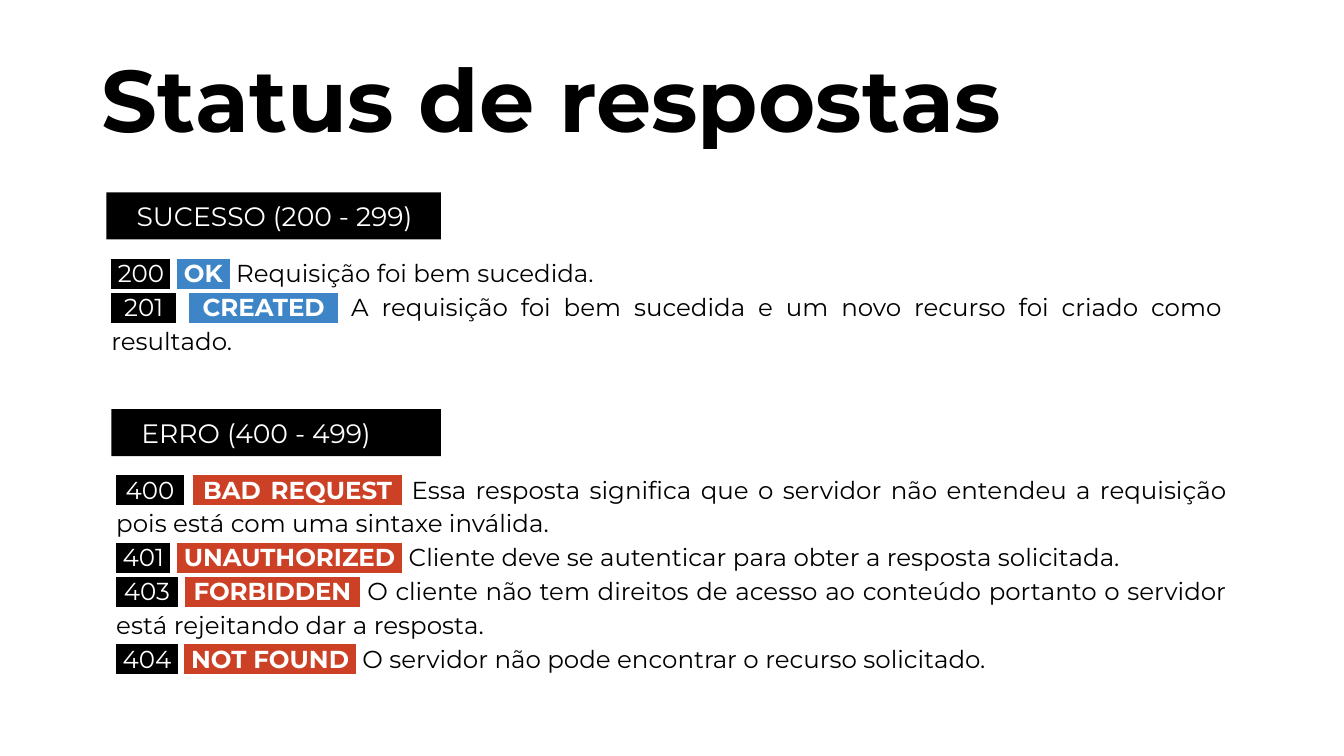
from lxml.etree import SubElement
from pptx import Presentation
from pptx.dml.color import RGBColor
from pptx.enum.shapes import MSO_SHAPE as Shape
from pptx.enum.text import MSO_ANCHOR as Anchor, PP_ALIGN as Align
from pptx.oxml.ns import qn
from pptx.util import Pt

FONT = "Montserrat"
BLACK, WHITE, BLUE, RED = "000000", "FFFFFF", "3D85C6", "CC4125"

SUCCESSES = [
    ("200", "OK", "Requisição foi bem sucedida."),
    ("201", "CREATED", "A requisição foi bem sucedida e um novo recurso foi criado como resultado."),
]
ERRORS = [
    ("400", "BAD REQUEST", "Essa resposta significa que o servidor não entendeu a requisição "
                           "pois está com uma sintaxe inválida."),
    ("401", "UNAUTHORIZED", "Cliente deve se autenticar para obter a resposta solicitada."),
    ("403", "FORBIDDEN", "O cliente não tem direitos de acesso ao conteúdo portanto o servidor "
                         "está rejeitando dar a resposta."),
    ("404", "NOT FOUND", "O servidor não pode encontrar o recurso solicitado."),
]


def rgb(color):
    """Turn a hex string into a colour."""
    return RGBColor.from_string(color)


def style(run, size, color, bold=False, highlight=None):
    """Format a run, with an optional highlight behind it."""
    font = run.font
    font.name, font.size, font.bold = FONT, Pt(size), bold
    font.color.rgb = rgb(color)
    if highlight:
        properties = run._r.get_or_add_rPr()
        marker = SubElement(properties, qn("a:highlight"))
        SubElement(marker, qn("a:srgbClr")).set("val", highlight)
        properties.find(qn("a:solidFill")).addnext(marker)


def add_title(slide, title):
    """Add the large bold heading."""
    heading = slide.shapes.add_textbox(Pt(138), Pt(60.5), Pt(1555), Pt(174))
    heading.text_frame.word_wrap = True
    heading.text_frame.text = title
    style(heading.text_frame.paragraphs[0].runs[0], 125, BLACK, bold=True)


def add_banner(slide, label, left, top, width):
    """Add the black bar that names a range of codes."""
    banner = slide.shapes.add_shape(Shape.RECTANGLE, Pt(left), Pt(top), Pt(width), Pt(67))
    banner.shadow.inherit = False
    banner.fill.solid()
    banner.fill.fore_color.rgb = rgb(BLACK)
    banner.line.fill.background()
    frame = banner.text_frame
    frame.vertical_anchor = Anchor.MIDDLE
    frame.text = label
    paragraph = frame.paragraphs[0]
    paragraph.alignment = Align.LEFT
    paragraph._p.get_or_add_pPr().set("marL", str(Pt(36)))
    style(paragraph.runs[0], 38, WHITE)


def add_statuses(slide, statuses, badge_color, left, top, height):
    """Add one justified paragraph per status code."""
    listing = slide.shapes.add_textbox(Pt(left), Pt(top), Pt(1601), Pt(height))
    frame = listing.text_frame
    frame.word_wrap = True
    frame.margin_top = frame.margin_bottom = Pt(7.2)
    for index, (code, name, meaning) in enumerate(statuses):
        paragraph = frame.add_paragraph() if index else frame.paragraphs[0]
        paragraph.alignment = Align.JUSTIFY
        paragraph.line_spacing = 1.15
        for wording, color, bold, highlight in (
            (f" {code} ", WHITE, False, BLACK),
            (" ", BLACK, False, None),
            (f" {name} ", WHITE, True, badge_color),
            (f" {meaning}", BLACK, False, None),
        ):
            run = paragraph.add_run()
            run.text = wording
            style(run, 35, color, bold, highlight)


def main():
    """Build and save the slide on HTTP response statuses."""
    deck = Presentation()
    deck.slide_width, deck.slide_height = Pt(1920), Pt(1080)
    slide = deck.slides.add_slide(deck.slide_layouts[6])
    add_title(slide, "Status de respostas")
    add_banner(slide, "SUCESSO (200 - 299)", 152, 275, 478)
    add_statuses(slide, SUCCESSES, BLUE, 152, 355.5, 217)
    add_banner(slide, "ERRO (400 - 499)", 159, 584.5, 471)
    add_statuses(slide, ERRORS, RED, 159, 664.5, 334)
    deck.save("out.pptx")


if __name__ == "__main__":
    main()
